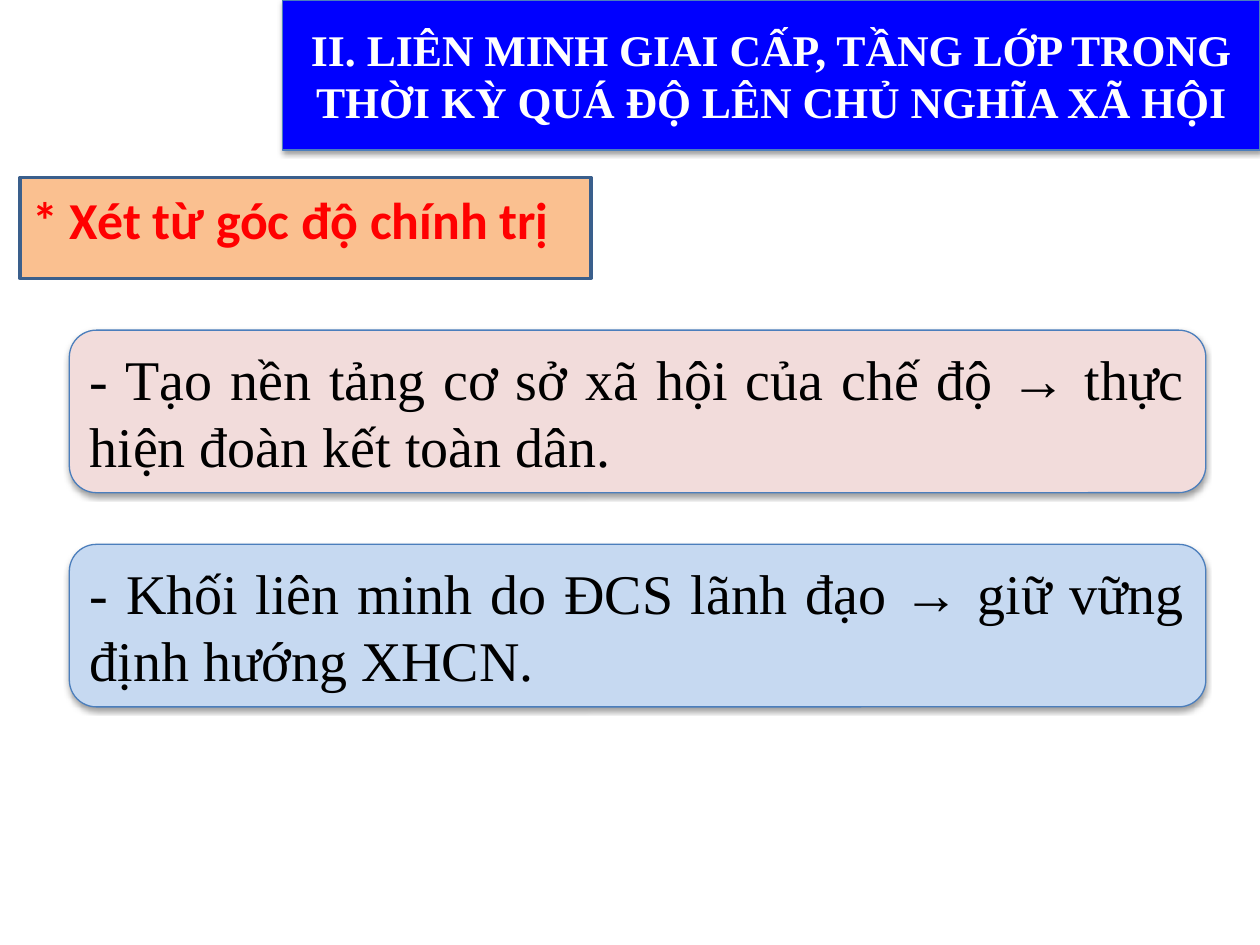
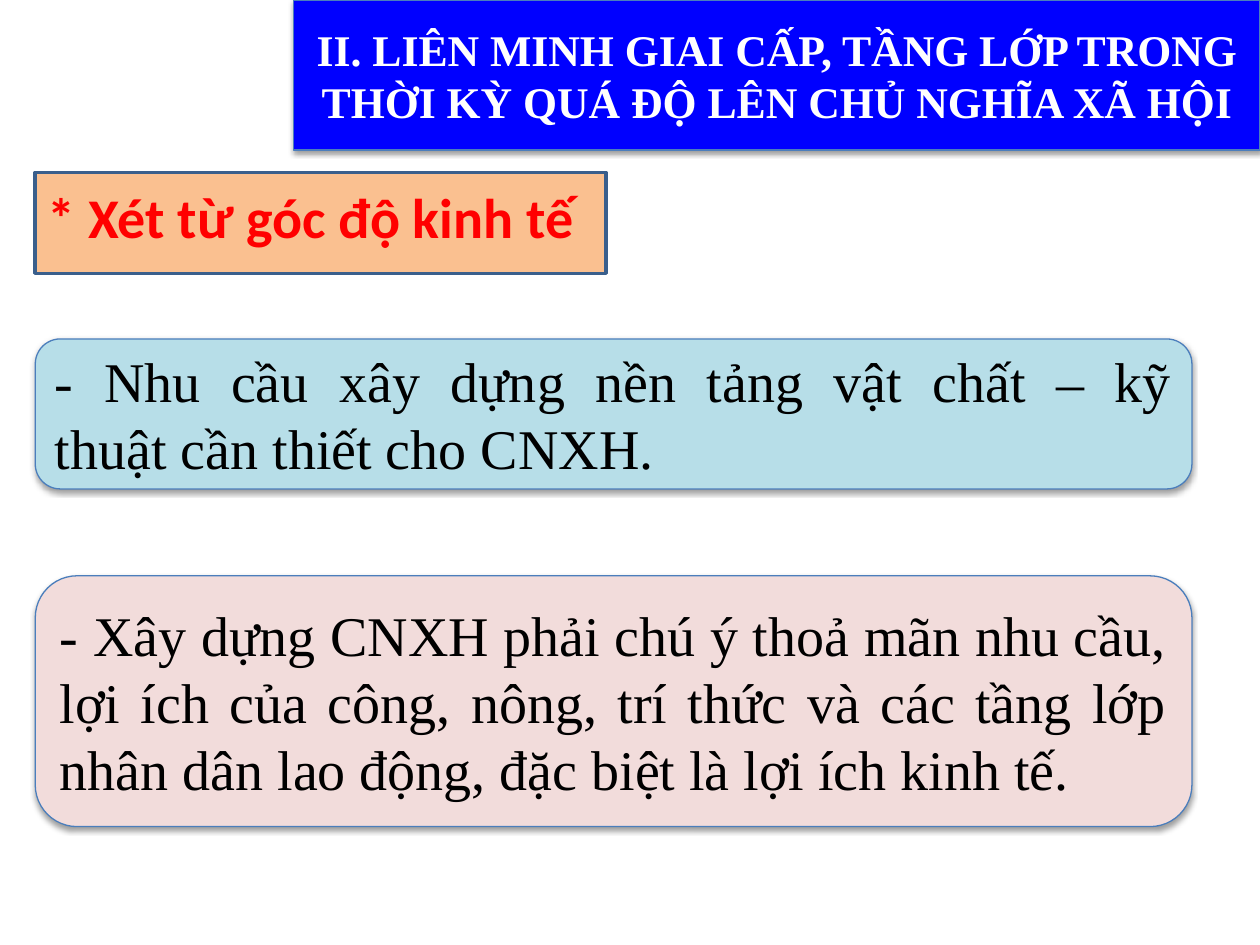
"""Build two slides on class alliance in the transition to socialism."""
from lxml.etree import SubElement
from pptx import Presentation
from pptx.dml.color import RGBColor
from pptx.enum.shapes import MSO_SHAPE as Shape
from pptx.enum.text import MSO_ANCHOR as Anchor, MSO_AUTO_SIZE as AutoSize, PP_ALIGN as Align
from pptx.oxml.ns import qn
from pptx.util import Inches, Pt

COLORS = {
    "band": "0000FF", "band_text": "FFFFFF",
    "heading": "FAC090", "heading_line": "3A5F8C", "heading_text": "FF0000",
    "pink": "F2DCDB", "blue": "C6D9F1", "aqua": "B7DEE8",
    "line": "4B7EBC", "text": "000000", "shadow": "000000",
}
SERIF, SANS = "Times New Roman", "Calibri"
SECTION = "II. LIÊN MINH GIAI CẤP, TẦNG LỚP TRONG THỜI KỲ QUÁ ĐỘ LÊN CHỦ NGHĨA XÃ HỘI"
BAND_HEIGHT = 1.19
HEADING_SIZE = (4.53, 0.8)

PAGES = [
    {
        "band_left": 2.24,
        "heading": ("* Xét từ góc độ chính trị", 0.16, 1.41, 29.6),
        "card_left": 0.55, "card_width": 9.02,
        "cards": [
            ("- Tạo nền tảng cơ sở xã hội của chế độ → thực hiện đoàn kết toàn dân.",
             2.62, 1.29, "pink"),
            ("- Khối liên minh do ĐCS lãnh đạo → giữ vững định hướng XHCN.",
             4.32, 1.29, "blue"),
        ],
    },
    {
        "band_left": 2.33,
        "heading": ("* Xét từ góc độ kinh tế", 0.28, 1.37, 32),
        "card_left": 0.28, "card_width": 9.18,
        "cards": [
            ("- Nhu cầu xây dựng nền tảng vật chất – kỹ\vthuật cần thiết cho CNXH.",
             2.69, 1.19, "aqua"),
            ("- Xây dựng CNXH phải chú ý thoả mãn nhu cầu, lợi ích của công, nông, "
             "trí thức và các tầng lớp nhân dân lao động, đặc biệt là lợi ích kinh tế.",
             4.57, 1.99, "pink"),
        ],
    },
]


def style_box(box, text, fill, line, line_width, font, size, color, bold, align, anchor):
    box.fill.solid()
    box.fill.fore_color.rgb = RGBColor.from_string(COLORS[fill])
    box.line.color.rgb = RGBColor.from_string(COLORS[line])
    box.line.width = Pt(line_width)
    box.shadow.inherit = False
    frame = box.text_frame
    frame.text = text
    frame.word_wrap = True
    frame.auto_size = AutoSize.NONE
    frame.vertical_anchor = anchor
    paragraph = frame.paragraphs[0]
    paragraph.alignment = align
    for run in paragraph.runs:
        run.font.name = font
        run.font.size = Pt(size)
        run.font.bold = bold
        run.font.color.rgb = RGBColor.from_string(COLORS[color])


def add_shadow(box):
    effects = box.element.spPr.find(qn("a:effectLst"))
    shadow = SubElement(effects, qn("a:outerShdw"), blurRad=str(Pt(3.1)),
                        dist=str(Pt(1.6)), dir="5400000", rotWithShape="0")
    tint = SubElement(shadow, qn("a:srgbClr"), val=COLORS["shadow"])
    SubElement(tint, qn("a:alpha"), val="38000")


deck = Presentation()
deck.slide_width, deck.slide_height = Inches(10), Inches(7.5)
title_only = deck.slide_layouts[5]

for page in PAGES:
    slide = deck.slides.add_slide(title_only)

    band = slide.shapes.title
    band.left, band.top = Inches(page["band_left"]), Inches(0)
    band.width, band.height = Inches(10 - page["band_left"]), Inches(BAND_HEIGHT)
    outline = SubElement(band.element.spPr, qn("a:prstGeom"), prst="roundRect")
    SubElement(outline, qn("a:avLst"))
    style_box(band, SECTION, "band", "line", 0.75, SERIF, 25, "band_text", True,
              Align.CENTER, Anchor.MIDDLE)
    add_shadow(band)

    words, left, top, size = page["heading"]
    heading = slide.shapes.add_shape(Shape.RECTANGLE, Inches(left), Inches(top),
                                     *map(Inches, HEADING_SIZE))
    style_box(heading, words, "heading", "heading_line", 2, SANS, size, "heading_text", True,
              Align.JUSTIFY, Anchor.TOP)
    heading.text_frame.margin_top = Inches(0.08)

    for words, top, height, fill in page["cards"]:
        card = slide.shapes.add_shape(Shape.ROUNDED_RECTANGLE, Inches(page["card_left"]),
                                      Inches(top), Inches(page["card_width"]), Inches(height))
        style_box(card, words, fill, "line", 0.75, SERIF, 32, "text", False,
                  Align.JUSTIFY, Anchor.MIDDLE)
        add_shadow(card)

deck.save("out.pptx")
